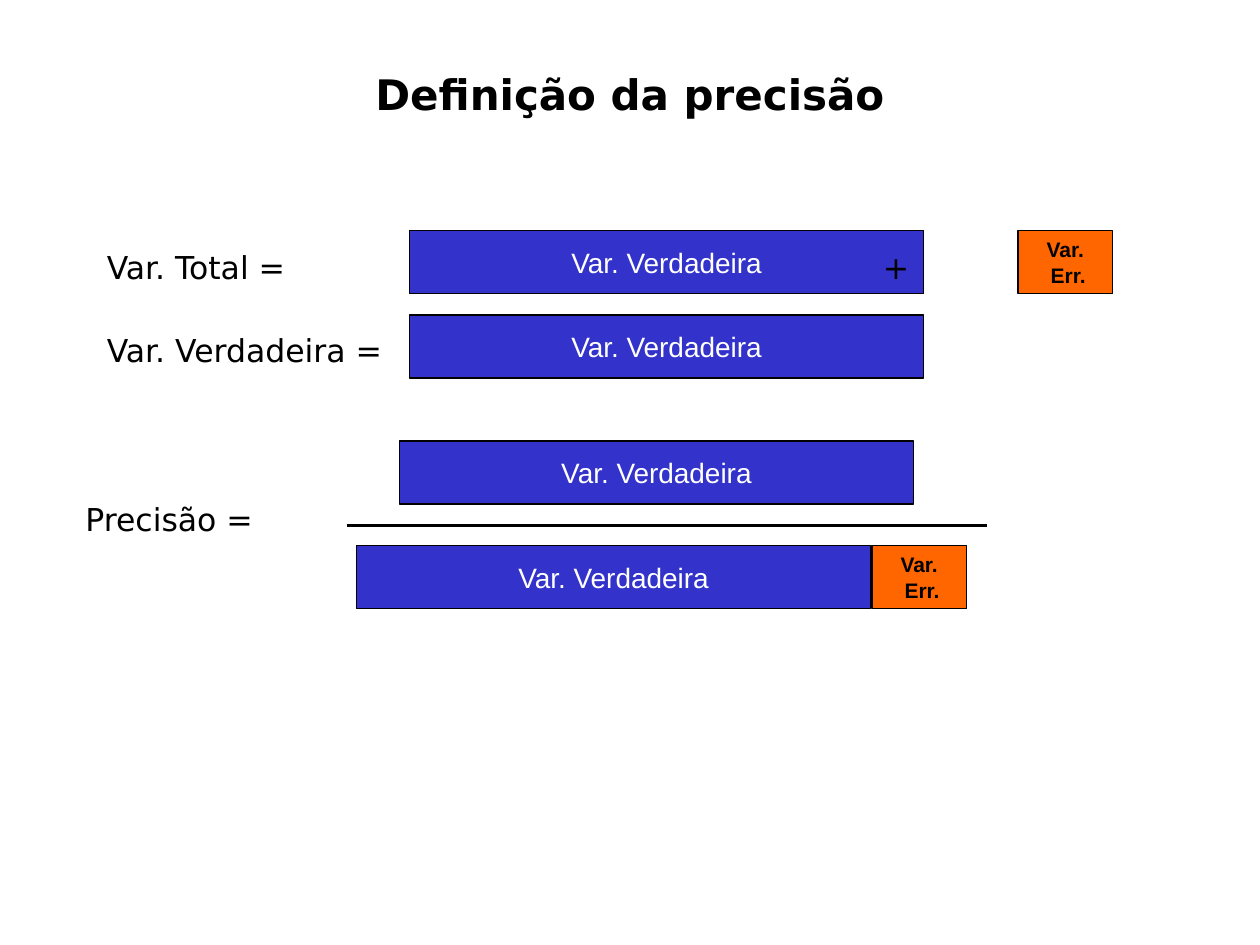
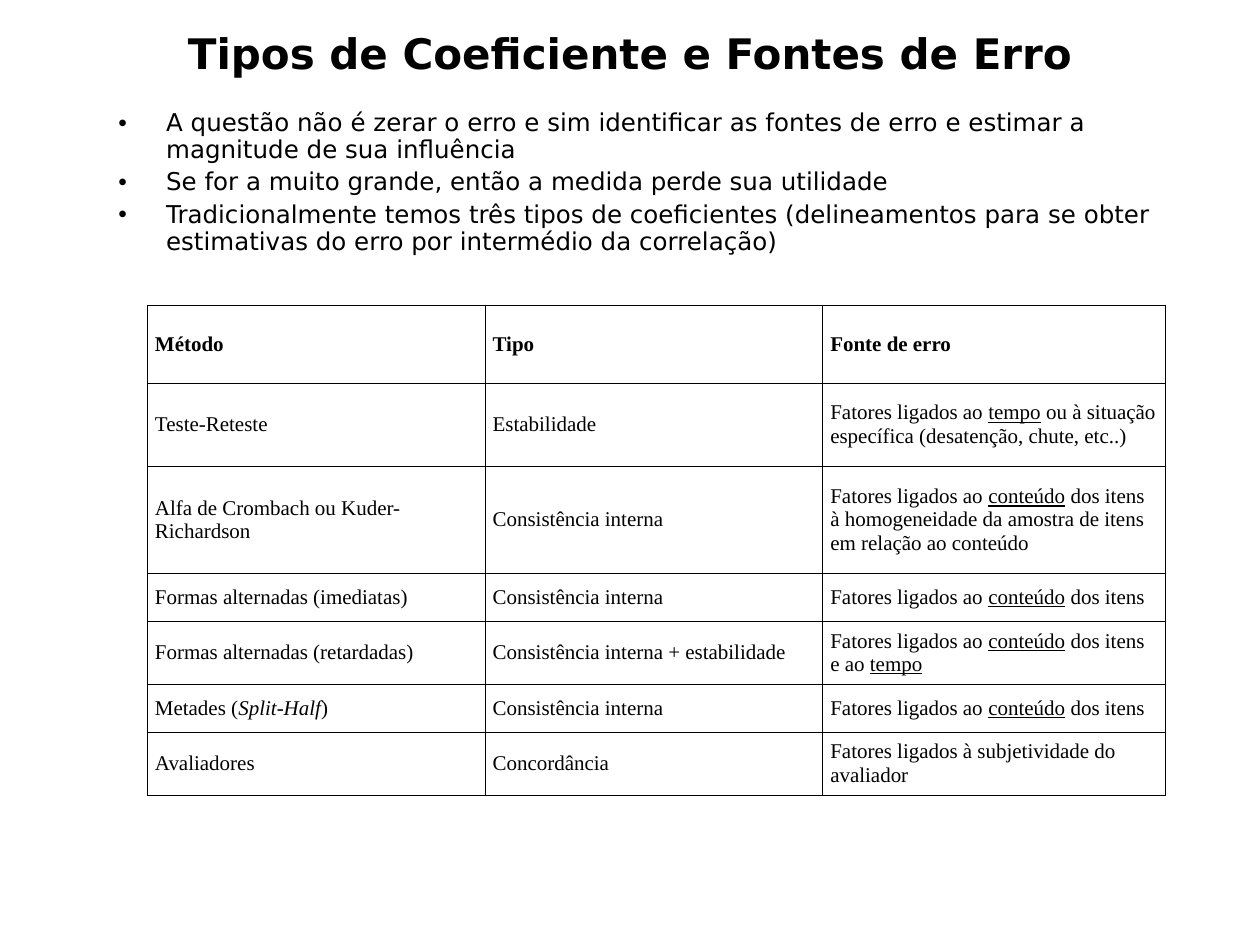
from copy import deepcopy
from dataclasses import dataclass
from pptx import Presentation
from pptx.dml.color import RGBColor
from pptx.enum.shapes import MSO_CONNECTOR, MSO_SHAPE
from pptx.enum.text import MSO_ANCHOR, PP_ALIGN
from pptx.oxml import parse_xml
from pptx.oxml.ns import nsdecls, qn
from pptx.util import Inches, Pt


@dataclass(frozen=True)
class Theme:
    """Colours, fonts and type formats."""
    black = RGBColor.from_string("000000")
    white = RGBColor.from_string("FFFFFF")
    blue = RGBColor.from_string("3333CC")
    orange = RGBColor.from_string("FF6600")
    title = dict(name="DejaVu Sans", size=Pt(24), bold=True, color=black)
    label = dict(name="DejaVu Sans", size=Pt(18), color=black)
    bullet = dict(name="DejaVu Sans", size=Pt(14), color=black)
    true = dict(name="Arial", size=Pt(16), color=white)
    error = dict(name="Arial", size=Pt(12), bold=True, color=black)
    cell = dict(name="Times New Roman", size=Pt(12), color=black)
    head = dict(cell, bold=True)
    thin, rule, grid = Pt(0.75), Pt(1.75), Pt(0.45)


class Deck:
    """Holds the theme and the current slide."""

    def __init__(self, theme):
        """Start a blank deck."""
        self.theme = theme
        self.file = Presentation()
        self.file.slide_width, self.file.slide_height = Inches(10), Inches(7.5)

    def page(self, title, top):
        """Add a slide with its title."""
        self.slide = self.file.slides.add_slide(self.file.slide_layouts[6])
        fill = self.slide.background.fill
        fill.solid()
        fill.fore_color.rgb = self.theme.white
        frame = self.box(0, top, 10, 0.83)
        frame.vertical_anchor = MSO_ANCHOR.MIDDLE
        self.words(frame.paragraphs[0], title, self.theme.title, PP_ALIGN.CENTER)

    def box(self, left, top, width, height):
        """Add a wrapping text box and return its frame."""
        frame = self.slide.shapes.add_textbox(*map(Inches, (left, top, width, height))).text_frame
        frame.word_wrap = True
        return frame

    def style(self, run, form):
        """Apply format values to a run."""
        for key, value in form.items():
            if key == "color":
                run.font.color.rgb = value
            else:
                setattr(run.font, key, value)

    def words(self, para, text, form, align=PP_ALIGN.LEFT):
        """Fill a paragraph; _x_ is underlined, *x* italic, \\v breaks the line."""
        para.alignment = align
        for i, part in enumerate(text.split("_")):
            for j, piece in enumerate(part.split("*")):
                marks = dict(underline=True) if i % 2 else dict(italic=True) if j % 2 else {}
                for k, line in enumerate(piece.split("\v")):
                    if k:
                        para.add_line_break()
                    if line:
                        run = para.add_run()
                        run.text = line
                        self.style(run, {**form, **marks})
        for mark in para._p.findall(qn("a:br")):
            mark.insert(0, deepcopy(para.runs[0]._r.rPr))

    def label(self, text, left, top, width, tab=None):
        """Add a one-line label, with an optional tab stop in inches."""
        para = self.box(left, top, width, 0.42).paragraphs[0]
        if tab:
            para._p.get_or_add_pPr().append(parse_xml(
                f'<a:tabLst {nsdecls("a")}><a:tab pos="{Inches(tab)}" algn="l"/></a:tabLst>'))
        self.words(para, text, self.theme.label)

    def bar(self, text, left, top, width, fill, form):
        """Add a filled bar with centred text."""
        shape = self.slide.shapes.add_shape(
            MSO_SHAPE.RECTANGLE, *map(Inches, (left, top, width, 0.5)))
        shape.shadow.inherit = False
        shape.fill.solid()
        shape.fill.fore_color.rgb = fill
        shape.line.color.rgb = self.theme.black
        shape.line.width = self.theme.thin
        frame = shape.text_frame
        frame.word_wrap = False
        frame.vertical_anchor = MSO_ANCHOR.MIDDLE
        self.words(frame.paragraphs[0], text, form, PP_ALIGN.CENTER)

    def true(self, left, top):
        """Add a true variance bar."""
        self.bar("Var. Verdadeira", left, top, 4.08, self.theme.blue, self.theme.true)

    def error(self, left, top):
        """Add an error variance bar."""
        self.bar("Var.\v Err.", left, top, 0.75, self.theme.orange, self.theme.error)

    def rule(self, left, right, top):
        """Add a level line."""
        line = self.slide.shapes.add_connector(
            MSO_CONNECTOR.STRAIGHT, *map(Inches, (left, top, right, top)))
        line.line.color.rgb = self.theme.black
        line.line.width = self.theme.rule
        line._element.spPr.append(parse_xml(f'<a:effectLst {nsdecls("a")}/>'))

    def points(self, texts, left, top, width, height):
        """Add a bulleted list."""
        frame = self.box(left, top, width, height)
        space = nsdecls("a")
        for i, text in enumerate(texts):
            para = frame.add_paragraph() if i else frame.paragraphs[0]
            props = para._p.get_or_add_pPr()
            props.set("marL", str(Inches(0.47)))
            props.set("indent", str(Inches(-0.38)))
            for mark in (f'<a:buFont {space} typeface="Arial"/>',
                         f'<a:buChar {space} char="•"/>'):
                props.append(parse_xml(mark))
            para.line_spacing = 0.9
            if i:
                para.space_before = Pt(3.5)
            self.words(para, text, self.theme.bullet)

    def edge(self, cell):
        """Draw the four borders of a cell."""
        for side in "LRTB":
            cell._tc.get_or_add_tcPr().append(parse_xml(
                f'<a:ln{side} {nsdecls("a")} w="{self.theme.grid}"><a:solidFill>'
                f'<a:srgbClr val="{self.theme.black}"/></a:solidFill></a:ln{side}>'))

    def table(self, rows, left, top, widths, heights):
        """Add a ruled table with a bold first row."""
        table = self.slide.shapes.add_table(
            len(rows), len(widths),
            *map(Inches, (left, top, sum(widths), sum(heights)))).table
        table.first_row = table.horz_banding = False
        for col, width in zip(table.columns, widths):
            col.width = Inches(width)
        for i, (row, height) in enumerate(zip(rows, heights)):
            table.rows[i].height = Inches(height)
            for j, text in enumerate(row):
                cell = table.cell(i, j)
                cell.margin_left = cell.margin_right = Inches(0.06)
                cell.vertical_anchor = MSO_ANCHOR.MIDDLE
                self.edge(cell)
                cell.fill.background()
                self.words(cell.text_frame.paragraphs[0], text,
                           self.theme.cell if i else self.theme.head)


def main():
    """Build both slides and save them."""
    deck = Deck(Theme())

    deck.page("Definição da precisão", 0.33)
    for left, top in ((3.25, 1.83), (3.25, 2.5), (3.17, 3.5), (2.83, 4.33)):
        deck.true(left, top)
    for left, top in ((8.08, 1.83), (6.92, 4.33)):
        deck.error(left, top)
    deck.rule(2.75, 7.83, 4.17)
    deck.label("Var. Total =\t+", 0.75, 1.92, 8, tab=6.16)
    deck.label("Var. Verdadeira =", 0.75, 2.58, 8)
    deck.label("Precisão =", 0.58, 3.92, 1.92)

    deck.page("Tipos de Coeficiente e Fontes de Erro", 0)
    deck.points((
        "A questão não é zerar o erro e sim identificar as fontes de erro e estimar a "
        "magnitude de sua influência",
        "Se for a muito grande, então a medida perde sua utilidade",
        "Tradicionalmente temos três tipos de coeficientes (delineamentos para se obter "
        "estimativas do erro por intermédio da correlação)",
    ), 0.75, 0.83, 8.58, 1.33)
    inner = "Consistência interna"
    items = "Fatores ligados ao _conteúdo_ dos itens"
    deck.table((
        ("Método", "Tipo", "Fonte de erro"),
        ("Teste-Reteste", "Estabilidade",
         "Fatores ligados ao _tempo_ ou à situação específica (desatenção, chute, etc..)"),
        ("Alfa de Crombach ou Kuder-Richardson", inner,
         items + " à homogeneidade da amostra de itens em relação ao conteúdo"),
        ("Formas alternadas (imediatas)", inner, items),
        ("Formas alternadas (retardadas)", inner + " + estabilidade", items + " e ao _tempo_"),
        ("Metades (*Split-Half*)", inner, items),
        ("Avaliadores", "Concordância", "Fatores ligados à subjetividade do avaliador"),
    ), 1.17, 2.42, (2.68, 2.68, 2.72), (0.62, 0.66, 0.85, 0.38, 0.48, 0.38, 0.48))

    deck.file.save("out.pptx")


if __name__ == "__main__":
    main()
